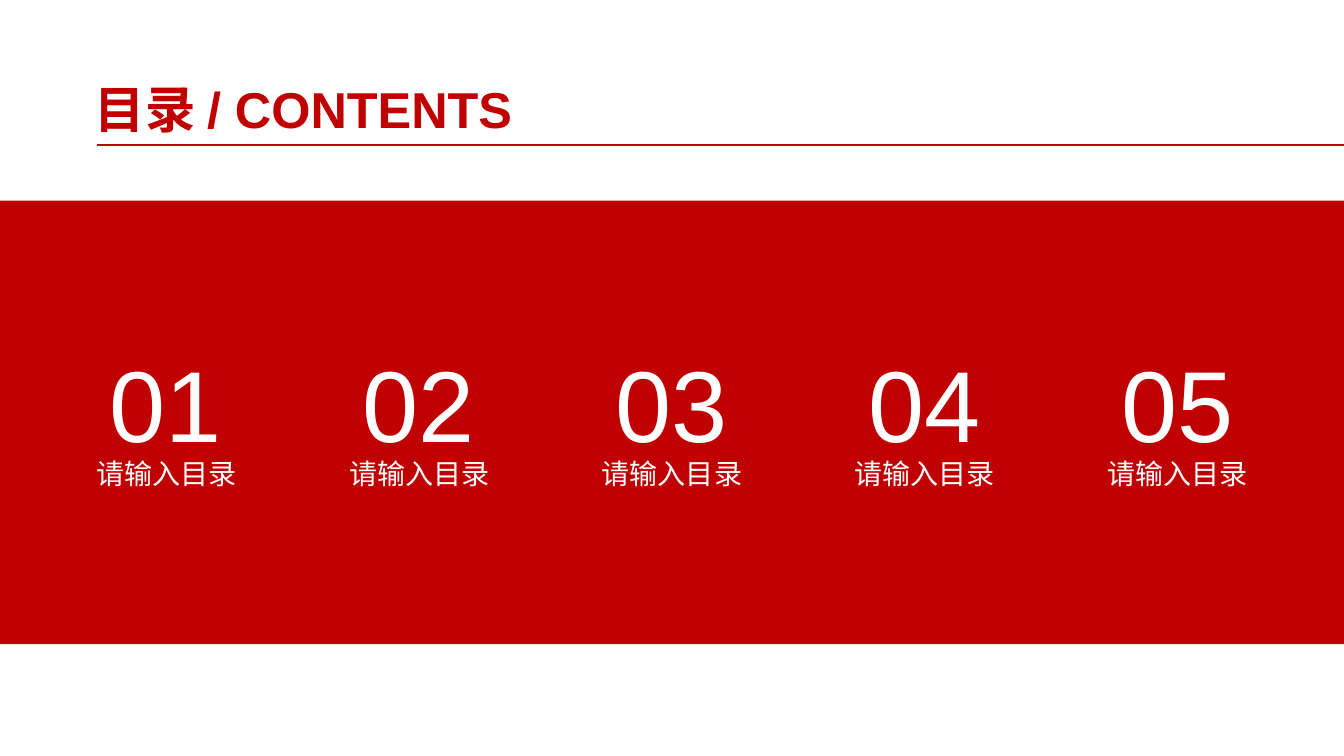
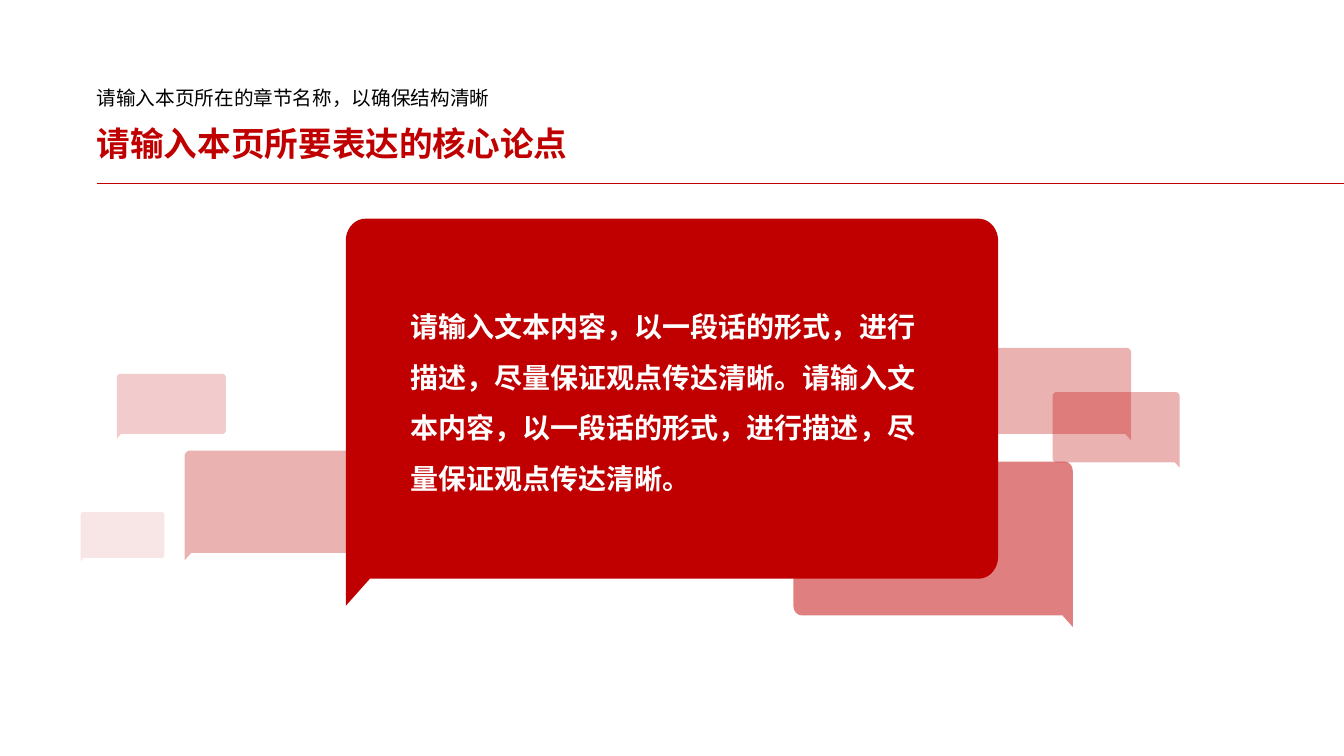
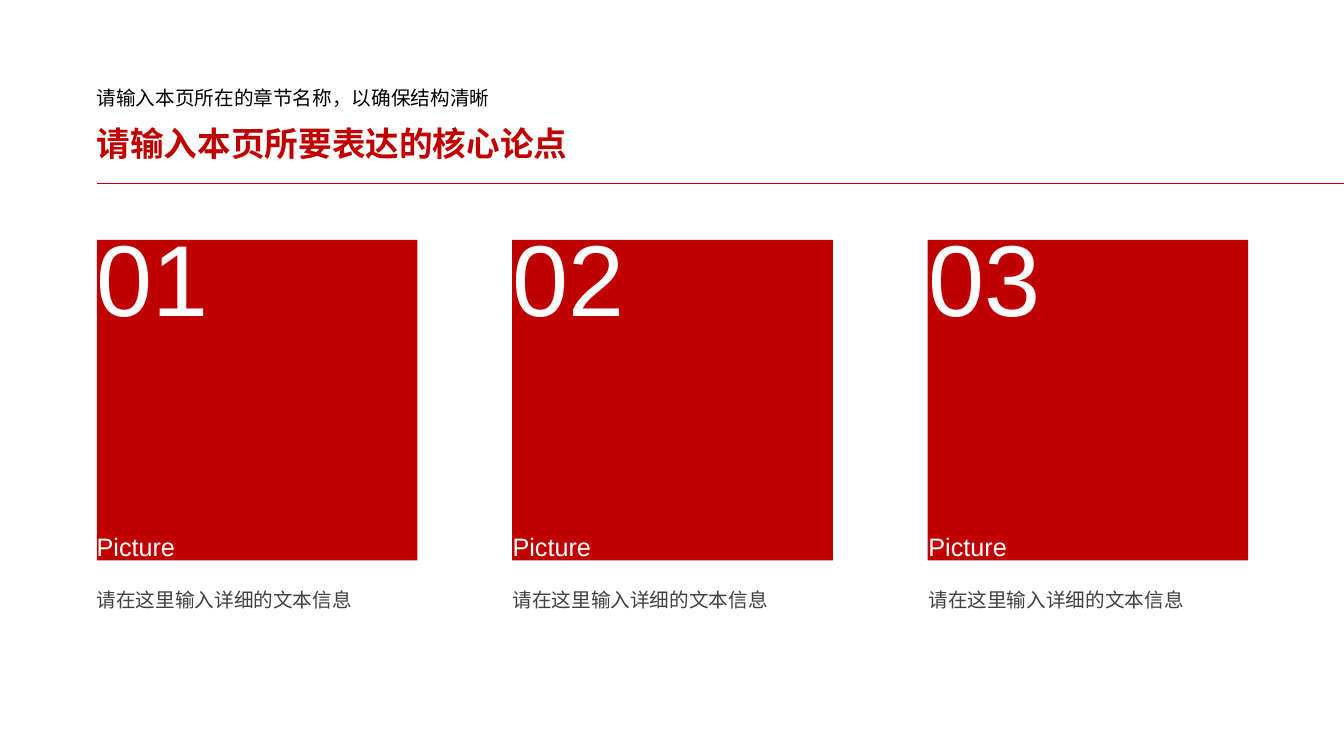
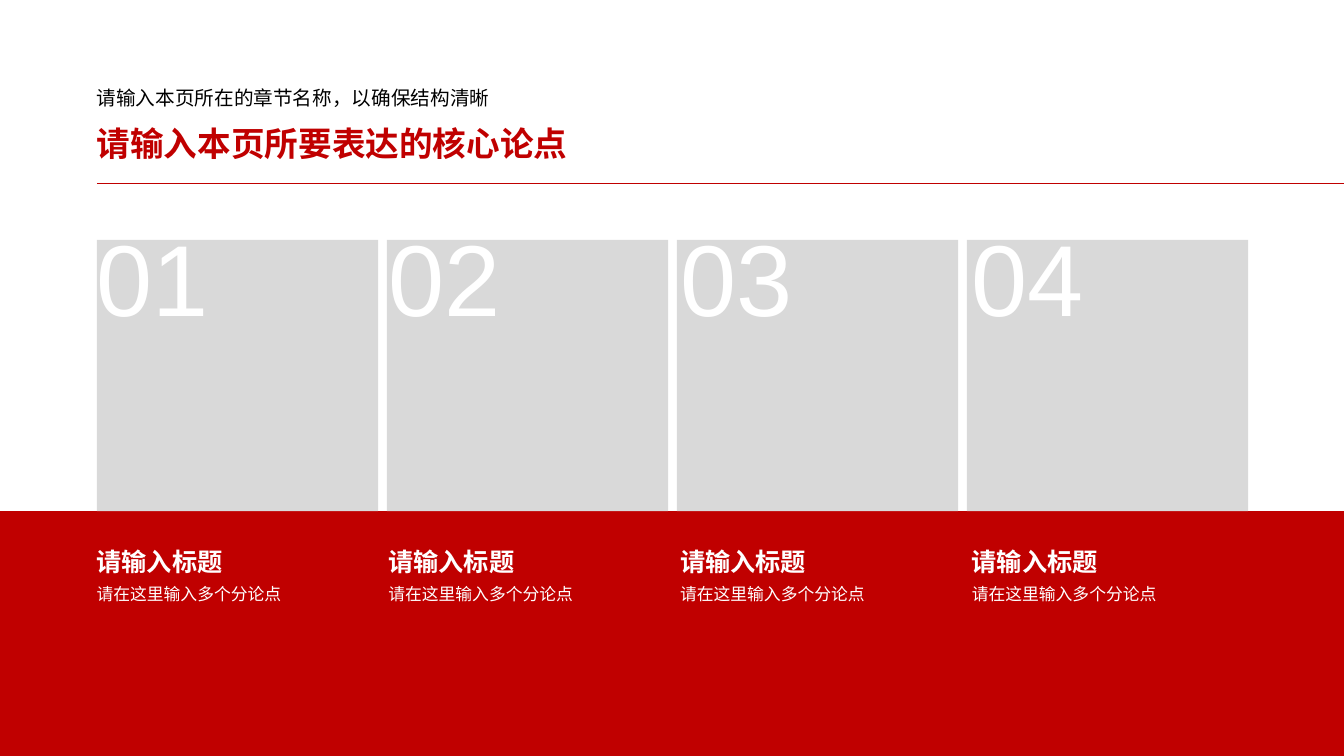
import math

from lxml import etree
from pptx import Presentation
from pptx import util as u
from pptx.dml.color import RGBColor
from pptx.enum import shapes, text
from pptx.oxml.ns import qn

WIDTH, HEIGHT = 13.33, 7.5
RED, WHITE, BLACK = "C00000", "FFFFFF", "000000"
DARK, GREY = "404040", "D9D9D9"
FONT = "Arial"
INSET = 0.1
LEFT, RIGHT = 0.96, 12.38
TEXT_LEFT = LEFT - INSET
TILE_TOP = 2.38
NUMBER_SIZE = (1.32, 1.31)

CONTENTS_TITLE = "目录 / CONTENTS"
CONTENTS = ["请输入目录"] * 5
CHAPTER = "请输入本页所在的章节名称，以确保结构清晰"
ARGUMENT = "请输入本页所要表达的核心论点"
STATEMENT = "请输入文本内容，以一段话的形式，进行描述，尽量保证观点传达清晰。" * 2
# left, top, width, height, opacity in percent, tail on the right
BUBBLES = [
    (7.87, 4.58, 2.77, 1.64, 50, True),
    (3.43, 2.17, 6.47, 3.84, 100, False),
    (9.66, 3.45, 1.56, 0.92, 30, True),
    (10.44, 3.89, 1.26, 0.75, 30, True),
    (1.83, 4.47, 1.85, 1.09, 30, False),
    (1.16, 3.71, 1.08, 0.64, 20, False),
    (0.8, 5.08, 0.83, 0.49, 10, False),
]
PICTURES = [("Picture", "请在这里输入详细的文本信息")] * 3
POINTS = [("请输入标题", "请在这里输入多个分论点")] * 4


def rgb(color):
    return RGBColor.from_string(color)


def columns(count, width, left=LEFT, right=RIGHT):
    """Left edges of equal columns spread from left to right."""
    step = (right - left - width) / (count - 1)
    return [left + i * step for i in range(count)]


def write(shape, box, words, size, color, bold=False, wrap=False,
          align=text.PP_ALIGN.LEFT, spacing=1.0, tight=False):
    """Place a text box or placeholder and fill it with one paragraph."""
    shape.left, shape.top, shape.width, shape.height = map(u.Inches, box)
    frame = shape.text_frame
    frame.text = words
    frame.word_wrap = wrap
    frame.auto_size = text.MSO_AUTO_SIZE.SHAPE_TO_FIT_TEXT
    frame.vertical_anchor = text.MSO_ANCHOR.TOP
    if tight:
        frame.margin_top = frame.margin_right = frame.margin_bottom = 0
    paragraph = frame.paragraphs[0]
    paragraph.alignment = align
    paragraph.line_spacing = spacing
    font = paragraph.runs[0].font
    font.name, font.size, font.bold = FONT, u.Pt(size), bold
    font.color.rgb = rgb(color)


def label(slide, box, *args, **style):
    write(slide.shapes.add_textbox(0, 0, 0, 0), box, *args, **style)


def number(slide, index, left, top):
    label(slide, (left, top, *NUMBER_SIZE), f"{index:02}", 72, WHITE)


def paint(shape, color):
    shape.shadow.inherit = False
    shape.fill.solid()
    shape.fill.fore_color.rgb = rgb(color)
    shape.line.fill.background()


def block(slide, box, color):
    paint(slide.shapes.add_shape(shapes.MSO_SHAPE.RECTANGLE, *map(u.Inches, box)), color)


def rule(slide, y, weight):
    line = slide.shapes.add_connector(
        shapes.MSO_CONNECTOR.STRAIGHT, *map(u.Inches, (LEFT, y, WIDTH, y)))
    line.line.color.rgb = rgb(RED)
    line.line.width = u.Pt(weight)
    etree.SubElement(line._element.spPr, qn("a:effectLst"))


def add_slide(deck):
    return deck.slides.add_slide(deck.slide_layouts.get_by_name("Title Only"))


def argument_slide(deck):
    """Add a slide with the shared chapter line, headline and rule."""
    slide = add_slide(deck)
    write(slide.shapes.title, (TEXT_LEFT, 1.17, 4.91, 0.5), ARGUMENT, 24, RED, bold=True)
    label(slide, (TEXT_LEFT, 0.8, 4.13, 0.34), CHAPTER, 14, BLACK)
    rule(slide, 1.82, 1.25)
    return slide


def bubble(slide, left, top, width, height, opacity, tail_right):
    """Draw a speech bubble with three round corners and a pointed one."""
    rx, ry, base = 0.03, 0.057, 0.93
    corners = [(rx, ry, 180), (1 - rx, ry, 270), (1 - rx, base - ry, 0)]
    outline = [(0, 1)]
    for cx, cy, start in corners:
        for degrees in range(start, start + 91, 10):
            angle = math.radians(degrees)
            outline.append((cx + rx * math.cos(angle), cy + ry * math.sin(angle)))
    outline.append((0.037, base))
    points = [(u.Inches(left + width * (1 - x if tail_right else x)),
               u.Inches(top + height * y)) for x, y in outline]
    builder = slide.shapes.build_freeform(*points[0])
    builder.add_line_segments(points[1:], close=True)
    shape = builder.convert_to_shape()
    paint(shape, RED)
    if opacity < 100:
        color = shape._element.spPr.find(qn("a:solidFill"))[0]
        etree.SubElement(color, qn("a:alpha"), val=str(opacity * 1000))


def contents_slide(deck):
    slide = add_slide(deck)
    write(slide.shapes.title, (0.84, 0.72, 4.41, 0.71), CONTENTS_TITLE, 36, RED,
          bold=True, wrap=True)
    rule(slide, 1.44, 1)
    block(slide, (0, 1.99, WIDTH, 4.4), RED)
    entry_width = 1.6
    lefts = columns(len(CONTENTS), entry_width, 0.85, 12.48)
    for index, (left, entry) in enumerate(zip(lefts, CONTENTS), 1):
        label(slide, (left, 4.48, entry_width, 0.44), entry, 20, WHITE,
              align=text.PP_ALIGN.CENTER)
        number(slide, index, left + (entry_width - NUMBER_SIZE[0]) / 2, 3.34)


def statement_slide(deck):
    slide = argument_slide(deck)
    for item in BUBBLES:
        bubble(slide, *item)
    label(slide, (3.97, 2.86, 5.38, 2.06), STATEMENT, 20, WHITE,
          bold=True, wrap=True, spacing=1.5)


def pictures_slide(deck):
    slide = argument_slide(deck)
    side, text_width = 3.18, 2.73
    for left in columns(len(PICTURES), side):
        block(slide, (left, TILE_TOP, side, side), RED)
    lefts = columns(len(PICTURES), text_width, TEXT_LEFT, 11.84)
    for index, (left, (caption, detail)) in enumerate(zip(lefts, PICTURES), 1):
        number(slide, index, left, 2.09)
        label(slide, (left, 5.22, 0.99, 0.4), caption, 18, WHITE)
        label(slide, (left, 5.83, text_width, 0.24), detail, 14, DARK,
              wrap=True, tight=True)


def points_slide(deck):
    slide = argument_slide(deck)
    band_top, tile_width, text_width = 5.07, 2.79, 2.73
    block(slide, (0, band_top, WIDTH, HEIGHT - band_top), RED)
    for left in columns(len(POINTS), tile_width):
        block(slide, (left, TILE_TOP, tile_width, band_top - TILE_TOP), GREY)
    lefts = columns(len(POINTS), text_width, TEXT_LEFT, 12.27)
    for index, (left, (heading, detail)) in enumerate(zip(lefts, POINTS), 1):
        number(slide, index, left, 2.09)
        label(slide, (left, 5.37, 1.46, 0.4), heading, 18, WHITE, bold=True)
        label(slide, (left, 5.79, text_width, 0.2), detail, 12, WHITE,
              wrap=True, tight=True)


def main():
    deck = Presentation()
    deck.slide_width, deck.slide_height = u.Inches(WIDTH), u.Inches(HEIGHT)
    for build in (contents_slide, statement_slide, pictures_slide, points_slide):
        build(deck)
    deck.save("out.pptx")


if __name__ == "__main__":
    main()
